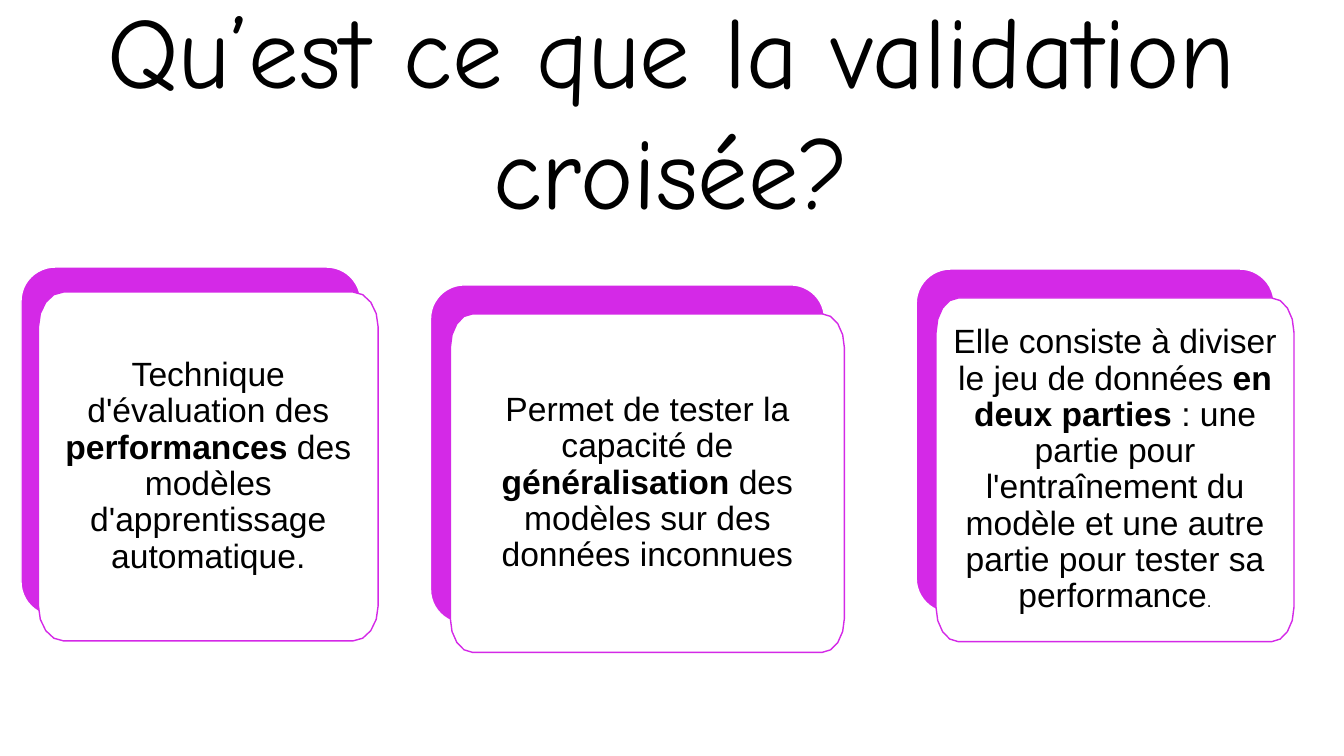
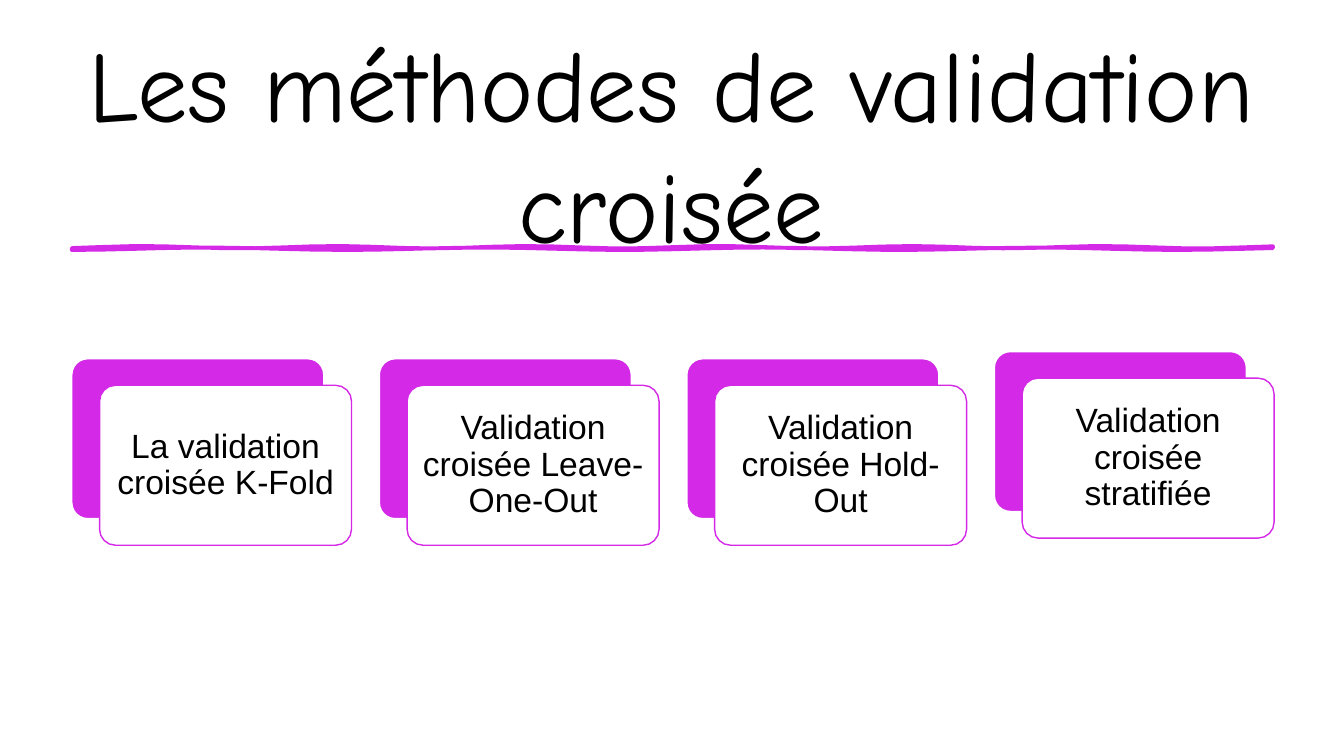
import math

import pptx
import pptx.dml.color
import pptx.enum.shapes
import pptx.enum.text
import pptx.util

Cm = pptx.util.Cm
Pt = pptx.util.Pt


def color(hex_code):
    return pptx.dml.color.RGBColor.from_string(hex_code)


def rounded_outline(left, top, width, height, radius_x, radius_y, steps=4):
    """Points, in cm, of a box whose corners are quarter ellipses."""
    points = []
    for corner, (x_side, y_side) in enumerate([(1, 1), (0, 1), (0, 0), (1, 0)]):
        center_x = left + (width - radius_x if x_side else radius_x)
        center_y = top + (height - radius_y if y_side else radius_y)
        for step in range(steps + 1):
            angle = math.pi / 2 * (corner + step / steps)
            points.append((center_x + radius_x * math.cos(angle),
                           center_y + radius_y * math.sin(angle)))
    return points


class Deck:
    ACCENT = "D429E7"
    PAPER = "FFFFFF"
    INK = "000000"
    TITLE_FONT = "Comic Neue"
    BODY_FONT = "Arial"

    def __init__(self):
        self.presentation = pptx.Presentation()
        self.presentation.slide_width = Cm(33.87)
        self.presentation.slide_height = Cm(19.05)
        self.slide = None

    def add_slide(self, title, title_top):
        layout = self.presentation.slide_layouts[5]
        self.slide = self.presentation.slides.add_slide(layout)
        heading = self.slide.shapes.title
        heading.left, heading.top = Cm(1.75), Cm(title_top)
        heading.width, heading.height = Cm(30.33), Cm(3.66)
        frame = heading.text_frame
        frame.text = title
        frame.auto_size = pptx.enum.text.MSO_AUTO_SIZE.NONE
        frame.vertical_anchor = pptx.enum.text.MSO_ANCHOR.MIDDLE
        self.style_paragraph(frame.paragraphs[0], self.TITLE_FONT, 72)
        self.add_backdrop(heading)

    def add_backdrop(self, heading):
        """Cover the slide with paper, behind the heading."""
        backdrop = self.slide.shapes.add_shape(
            pptx.enum.shapes.MSO_SHAPE.RECTANGLE, 0, 0,
            self.presentation.slide_width, self.presentation.slide_height)
        self.paint(backdrop, self.PAPER)
        heading._element.addprevious(backdrop._element)

    def style_paragraph(self, paragraph, font, size):
        paragraph.alignment = pptx.enum.text.PP_ALIGN.CENTER
        paragraph.font.name = font
        paragraph.font.size = Pt(size)
        paragraph.font.color.rgb = color(self.INK)

    def paint(self, shape, fill, line=None, line_width=1):
        shape.shadow.inherit = False
        shape.fill.solid()
        shape.fill.fore_color.rgb = color(fill)
        if line is None:
            shape.line.fill.background()
        else:
            shape.line.color.rgb = color(line)
            shape.line.width = Pt(line_width)

    def outline(self, points):
        corners = [(Cm(x), Cm(y)) for x, y in points]
        builder = self.slide.shapes.build_freeform(*corners[0])
        builder.add_line_segments(corners[1:], close=True)
        return builder.convert_to_shape()

    def add_card(self, text, box, offset, radius_x, margin):
        """Add a card over its accent backing; ** marks bold text. Return the paragraph."""
        left, top, width, height = box
        backing = self.slide.shapes.add_shape(
            pptx.enum.shapes.MSO_SHAPE.ROUNDED_RECTANGLE, *map(Cm, box))
        backing.adjustments[0] = 0.1
        self.paint(backing, self.ACCENT, self.PAPER)

        card = self.outline(rounded_outline(
            left + offset[0], top + offset[1], width, height, radius_x, height / 10))
        self.paint(card, self.PAPER, self.ACCENT)

        frame = card.text_frame
        frame.word_wrap = True
        frame.vertical_anchor = pptx.enum.text.MSO_ANCHOR.MIDDLE
        frame.margin_left = frame.margin_right = Cm(margin)
        frame.margin_top = frame.margin_bottom = Cm(margin)
        paragraph = frame.paragraphs[0]
        self.style_paragraph(paragraph, self.BODY_FONT, 24)
        paragraph.line_spacing = 0.9
        paragraph.space_after = Pt(8.4)
        for index, piece in enumerate(text.split("**")):
            run = paragraph.add_run()
            run.text = piece
            if index % 2:
                run.font.bold = True
        return paragraph

    def add_wavy_rule(self, left, right, middle):
        """Draw a hand-drawn looking ribbon whose two edges wave at different rates."""
        steps = 40
        xs = [left + (right - left) * step / steps for step in range(steps + 1)]
        upper = [(x, middle - 0.02 + 0.03 * math.sin(1.3 * x)) for x in xs]
        lower = [(x, middle + 0.02 + 0.03 * math.sin(0.9 * x)) for x in xs]
        self.paint(self.outline(upper + lower[::-1]), self.ACCENT, self.ACCENT, 2.75)


def add_definition(deck):
    deck.add_slide("Qu’est ce que la validation croisée?", 0.91)
    deck.add_card(
        "Technique d'évaluation des **performances** des modèles "
        "d'apprentissage automatique.",
        (0.53, 6.73, 8.56, 8.79), (0.44, 0.63), 0.63, 0.42)
    deck.add_card(
        "Permet de tester la capacité de **généralisation** des modèles "
        "sur des données inconnues",
        (10.85, 7.18, 9.93, 8.53), (0.5, 0.73), 0.56, 0.42)
    division = deck.add_card(
        "Elle consiste à diviser le jeu de données **en deux parties **: une partie "
        "pour l'entraînement du modèle et une autre partie pour tester sa performance",
        (23.09, 6.78, 9.02, 8.66), (0.5, 0.73), 0.56, 0.42)
    full_stop = division.add_run()
    full_stop.text = "."
    full_stop.font.size = Pt(12)


def add_methods(deck):
    deck.add_slide("Les méthodes de validation croisée", 1.76)
    deck.add_wavy_rule(1.81, 32.08, 6.25)
    methods = [
        ("La validation croisée K-Fold", 9.04),
        ("Validation croisée Leave-One-Out", 9.04),
        ("Validation croisée Hold-Out", 9.04),
        ("Validation croisée stratifiée", 8.86),
    ]
    for column, (method, top) in enumerate(methods):
        deck.add_card(method, (1.81 + 7.75 * column, top, 6.35, 4.03),
                      (0.7, 0.67), 0.4, 0.38)


def main():
    deck = Deck()
    add_definition(deck)
    add_methods(deck)
    deck.presentation.save("out.pptx")


if __name__ == "__main__":
    main()
